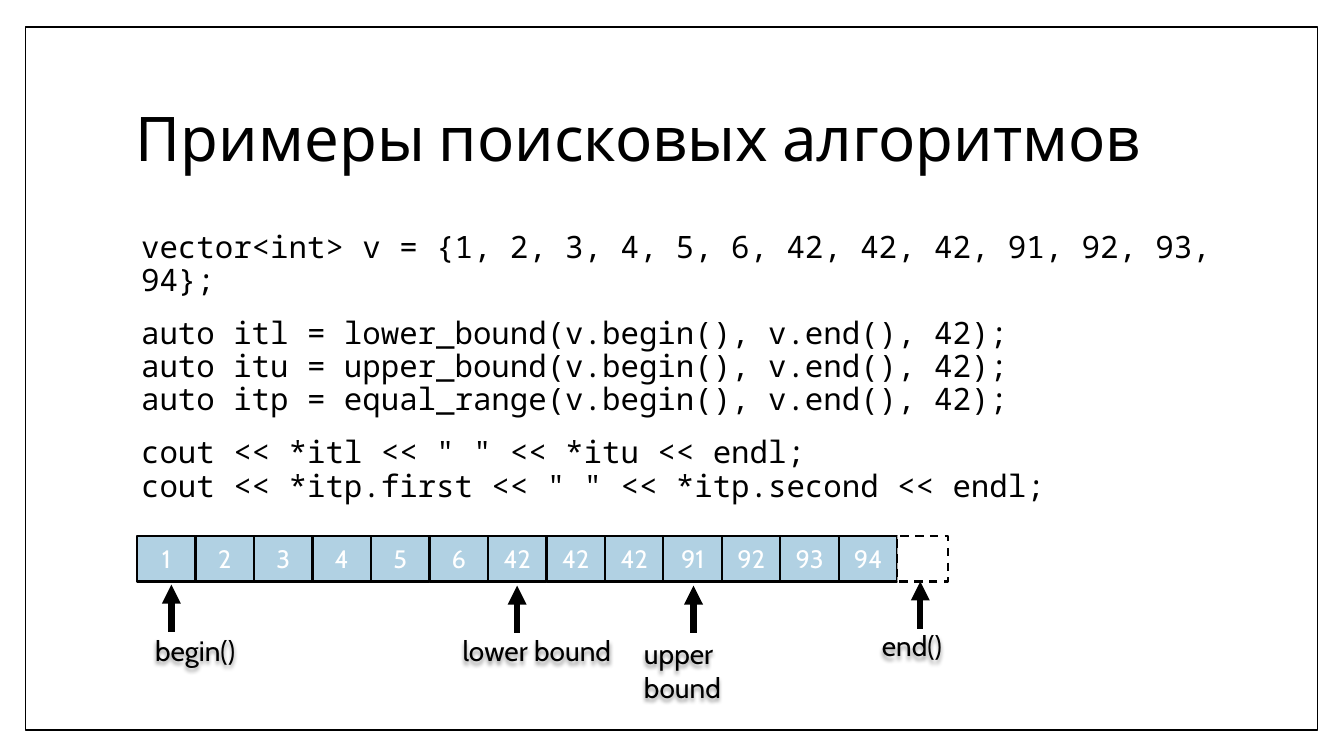
from pptx import Presentation
from pptx.dml.color import RGBColor
from pptx.enum.dml import MSO_LINE
from pptx.enum.shapes import MSO_CONNECTOR, MSO_SHAPE
from pptx.enum.text import MSO_ANCHOR as ANCHOR, PP_ALIGN as ALIGN
from pptx.oxml import parse_xml
from pptx.oxml.ns import nsdecls
from pptx.util import Pt

BLACK = RGBColor(0x00, 0x00, 0x00)
WHITE = RGBColor(0xFF, 0xFF, 0xFF)
BLUE = RGBColor(0xB1, 0xD1, 0xE3)
SANS, MONO = "Cabin", "Noto Sans Mono"

deck = Presentation()
deck.slide_width, deck.slide_height = Pt(960), Pt(540)
slide = deck.slides.add_slide(deck.slide_layouts[6])
shapes = slide.shapes


def write(para, text, size, font, color=BLACK):
    for i, line in enumerate(text.split("\n")):
        if i:
            para.add_line_break()
        run = para.add_run()
        run.text = line
        run.font.size = Pt(size)
        run.font.name = font
        run.font.color.rgb = color


def add_box(x, y, w, h, fill, width):
    box = shapes.add_shape(MSO_SHAPE.RECTANGLE, Pt(x), Pt(y), Pt(w), Pt(h))
    box.shadow.inherit = False
    box.fill.solid()
    box.fill.fore_color.rgb = fill
    box.line.color.rgb = BLACK
    box.line.width = Pt(width)
    return box


# Frame
add_box(18, 19.4, 923, 502, WHITE, 1)

# Title
title = shapes.add_textbox(Pt(90), Pt(48), Pt(778), Pt(106.5)).text_frame
title.word_wrap = True
title.vertical_anchor = ANCHOR.MIDDLE
title.paragraphs[0].line_spacing = 0.9
write(title.paragraphs[0], "Примеры поисковых алгоритмов", 44, SANS)

# Code
blocks = [
    "vector<int> v = {1, 2, 3, 4, 5, 6, 42, 42, 42, 91, 92, 93, 94};",
    "auto itl = lower_bound(v.begin(), v.end(), 42);\n"
    "auto itu = upper_bound(v.begin(), v.end(), 42);\n"
    "auto itp = equal_range(v.begin(), v.end(), 42);",
    'cout << *itl << " " << *itu << endl;\n'
    'cout << *itp.first << " " << *itp.second << endl;',
]
code = shapes.add_textbox(Pt(90), Pt(162), Pt(821.5), Pt(193)).text_frame
code.word_wrap = True
code.margin_left = Pt(10.8)
for i, block in enumerate(blocks):
    para = code.add_paragraph() if i else code.paragraphs[0]
    para.line_spacing = 0.9
    para.space_before = Pt(14 if i else 0)
    write(para, block, 22, MONO)

# Vector cells, then the dashed slot past the end
values = [1, 2, 3, 4, 5, 6, 42, 42, 42, 91, 92, 93, 94]
left, top, step, high = 97.9, 383, 41.78, 32.4
for i, value in enumerate(values):
    cell = add_box(left + i * step, top, step, high, BLUE, 1.5)
    frame = cell.text_frame
    frame.margin_left = frame.margin_right = Pt(0)
    frame.vertical_anchor = ANCHOR.MIDDLE
    frame.paragraphs[0].alignment = ALIGN.CENTER
    write(frame.paragraphs[0], str(value), 18, SANS, WHITE)
slot = add_box(left + len(values) * step, top, 36, high, WHITE, 1.5)
slot.line.dash_style = MSO_LINE.DASH

# Iterators: arrow x and tip, label x, y and width
marks = [
    ("begin()", 122.4, 417.6, 103.7, 448.6, 93.6),
    ("lower bound", 369.4, 418.3, 323.3, 449.3, 121),
    ("upper bound", 495.4, 418.3, 452.9, 451.4, 121),
    ("end()", 657.4, 415.4, 622.8, 445.7, 93.6),
]
for name, x, tip, lx, ly, wide in marks:
    arrow = shapes.add_connector(MSO_CONNECTOR.STRAIGHT, Pt(x), Pt(tip + 33.8), Pt(x), Pt(tip))
    arrow.line.color.rgb = BLACK
    arrow.line.width = Pt(4.5)
    arrow.line._get_or_add_ln().append(parse_xml(f'<a:tailEnd {nsdecls("a")} type="triangle"/>'))
    arrow._element.spPr.append(parse_xml(f'<a:effectLst {nsdecls("a")}/>'))

    label = shapes.add_textbox(Pt(lx), Pt(ly), Pt(wide), Pt(31.5))
    label.text_frame.word_wrap = True
    write(label.text_frame.paragraphs[0], name, 20, SANS)
    # Soft shadow below the label
    label._element.spPr.append(parse_xml(
        f'<a:effectLst {nsdecls("a")}><a:outerShdw blurRad="38100" dist="25400" dir="5400000">'
        '<a:srgbClr val="000000"><a:alpha val="40000"/></a:srgbClr></a:outerShdw></a:effectLst>'))

deck.save("out.pptx")
